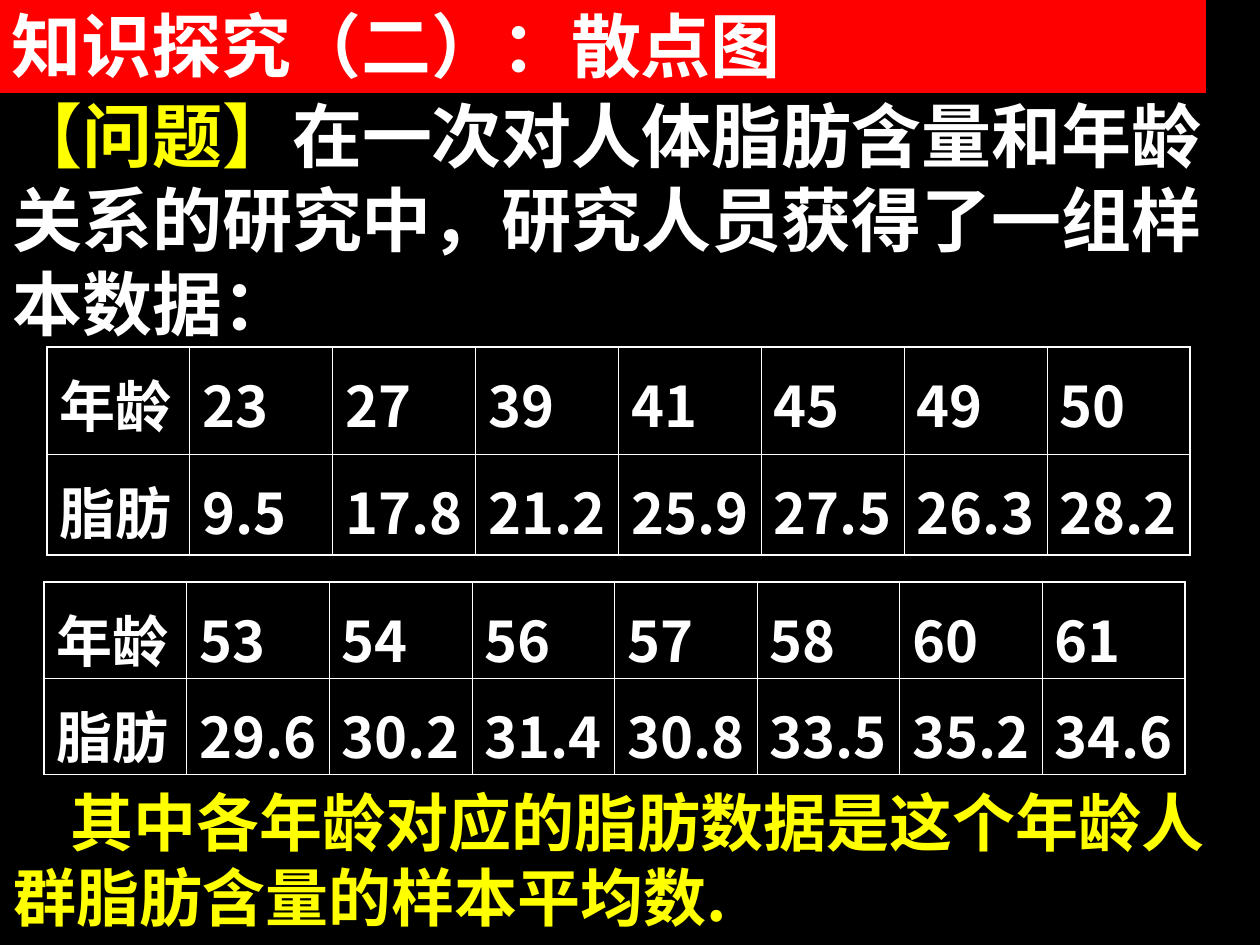
import pptx
import pptx.dml.color
import pptx.enum.text
import pptx.oxml
import pptx.oxml.ns
import pptx.util

SCALE = 914400 / 126
CJK = "Noto Sans CJK SC"
WHITE, YELLOW, RED, BLACK = "FFFFFF", "FFFF00", "FF0000", "000000"
THICK, THIN = 1.08, 0.45


def px(num):
    return pptx.util.Emu(round(num * SCALE))


def paint(fill, tone):
    fill.solid()
    fill.fore_color.rgb = pptx.dml.color.RGBColor.from_string(tone)


def write(para, text, size=40, tone=WHITE, font=CJK, bold=True):
    run = para.add_run()
    run.text = text
    run.font.size = pptx.util.Pt(size)
    run.font.bold = bold
    run.font.name = font
    paint(run.font.fill, tone)
    east = pptx.oxml.parse_xml(
        f'<a:ea {pptx.oxml.ns.nsdecls("a")} typeface="{CJK}"/>')
    run.font._element.find(pptx.oxml.ns.qn("a:latin")).addnext(east)


def rule(cell, sides):
    props = cell._tc.get_or_add_tcPr()
    for spot, (side, width) in enumerate(sides.items()):
        props.insert(spot, pptx.oxml.parse_xml(
            f'<a:ln{side} {pptx.oxml.ns.nsdecls("a")} '
            f'w="{pptx.util.Pt(width)}"><a:solidFill>'
            f'<a:srgbClr val="{WHITE}"/></a:solidFill></a:ln{side}>'))


class Deck:
    """Holds the style and the current slide, and adds its elements."""

    def __init__(self):
        self.prs = pptx.Presentation()
        self.prs.slide_width, self.prs.slide_height = px(1260), px(945)
        self.slide = self.prs.slides.add_slide(self.prs.slide_layouts[5])
        paint(self.slide.background.fill, BLACK)

    def frame(self, shape, anchor):
        frame = shape.text_frame
        frame.word_wrap = True
        frame.auto_size = pptx.enum.text.MSO_AUTO_SIZE.NONE
        frame.vertical_anchor = anchor
        para = frame.paragraphs[0]
        para.alignment = pptx.enum.text.PP_ALIGN.LEFT
        return para

    def title(self, text, left, top, width, height):
        shape = self.slide.shapes.title
        shape.left, shape.top = px(left), px(top)
        shape.width, shape.height = px(width), px(height)
        paint(shape.fill, RED)
        write(self.frame(shape, pptx.enum.text.MSO_ANCHOR.MIDDLE), text)

    def text(self, parts, left, top, width, height, indent=0, **style):
        box = self.slide.shapes.add_textbox(
            px(left), px(top), px(width), px(height))
        para = self.frame(box, pptx.enum.text.MSO_ANCHOR.TOP)
        if indent:
            para._p.get_or_add_pPr().set("indent", str(px(indent)))
        for text, tone in parts:
            write(para, text, tone=tone, **style)

    def table(self, data, left, top, width, heights, font=CJK):
        rows, cols = len(data), len(data[0])
        grid = self.slide.shapes.add_table(
            rows, cols, px(left), px(top), px(width), px(sum(heights))).table
        grid.first_row = grid.horz_banding = False
        for col in grid.columns:
            col.width = px(width / cols)
        for r, line in enumerate(data):
            grid.rows[r].height = px(heights[r])
            for c, text in enumerate(line):
                cell = grid.cell(r, c)
                cell.margin_top, cell.margin_bottom = px(15), px(0)
                cell.fill.background()
                write(cell.text_frame.paragraphs[0], text, size=32,
                      font=CJK if c else font)
                rule(cell, {"L": THIN if c else THICK,
                            "R": THICK if c == cols - 1 else THIN,
                            "T": THIN if r else THICK,
                            "B": THICK if r == rows - 1 else THIN})


def main():
    deck = Deck()
    deck.title("知识探究（二）：散点图", -1, -4, 1207, 97)
    deck.text([("【问题】", YELLOW),
               ("在一次对人体脂肪含量和年龄关系的研究中，研究人员获得了一组样本数据：", WHITE)],
              0, 86, 1260, 265, font="Arial")
    deck.text([("其中各年龄对应的脂肪数据是这个年龄人群脂肪含量的样本平均数.", YELLOW)],
              1, 777, 1260, 164, indent=57, size=36)
    deck.table([["年龄", "23", "27", "39", "41", "45", "49", "50"],
                ["脂肪", "9.5", "17.8", "21.2", "25.9", "27.5", "26.3", "28.2"]],
               47, 347, 1143, [107, 101])
    deck.table([["年龄", "53", "54", "56", "57", "58", "60", "61"],
                ["脂肪", "29.6", "30.2", "31.4", "30.8", "33.5", "35.2", "34.6"]],
               44, 582, 1141, [84, 84], font="Arial")
    deck.prs.save("out.pptx")


if __name__ == "__main__":
    main()
